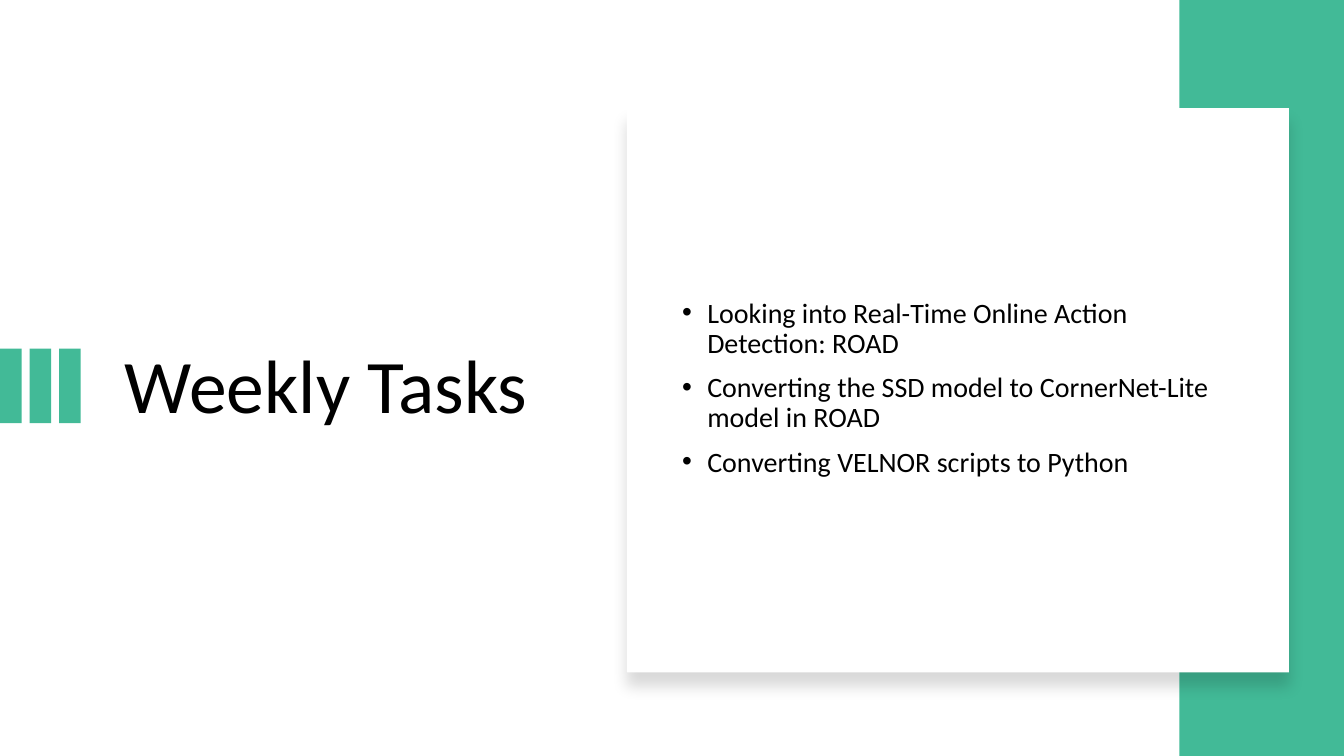
from lxml import etree
from pptx import Presentation
from pptx.dml.color import RGBColor as RGB
from pptx.enum.shapes import MSO_SHAPE as SHAPE
from pptx.enum.text import MSO_ANCHOR as ANCHOR, MSO_AUTO_SIZE as AUTO, PP_ALIGN as ALIGN
from pptx.oxml import parse_xml
from pptx.util import Pt

INK = {"green": "42BA97", "white": "FFFFFF", "black": "000000"}
TASKS = [
    "Looking into Real-Time Online Action Detection: ROAD",
    "Converting the SSD model to CornerNet-Lite model in ROAD",
    "Converting VELNOR scripts to Python",
]
NS = "http://schemas.openxmlformats.org/drawingml/2006/main"


def block(x, y, w, h, ink):
    shape = slide.shapes.add_shape(SHAPE.RECTANGLE, Pt(x), Pt(y), Pt(w), Pt(h))
    shape.shadow.inherit = False
    shape.fill.solid()
    shape.fill.fore_color.rgb = RGB.from_string(INK[ink])
    shape.line.fill.background()
    return shape


def fill_text(holder, box, lines, size, gap):
    holder.left, holder.top, holder.width, holder.height = map(Pt, box)
    frame = holder.text_frame
    frame.text = "\n".join(lines)
    frame.word_wrap = True
    frame.auto_size = AUTO.NONE
    frame.vertical_anchor = ANCHOR.MIDDLE
    for para in frame.paragraphs:
        para.alignment = ALIGN.LEFT
        para.line_spacing = 0.9
        para.space_before = Pt(gap)
        para.font.name = "Calibri"
        para.font.size = Pt(size)
        para.font.color.rgb = RGB.from_string(INK["black"])


deck = Presentation()
deck.slide_width, deck.slide_height = Pt(960), Pt(540)
slide = deck.slides.add_slide(deck.slide_layouts[1])
title, body = slide.placeholders

# Title with three bars at its left
fill_text(title, (82, 105, 307, 345), ["Weekly Tasks"], 54, 0)
for i in range(3):
    block(i * 21.1, 249, 15.4, 53.3, "green")

# Green band and the white card over it
block(842.4, 0, 117.6, 540, "green")
card = block(447.8, 77.2, 473, 403.2, "white")
glow = card.element.spPr.find(f"{{{NS}}}effectLst")
glow.append(parse_xml(
    f'<a:outerShdw xmlns:a="{NS}" blurRad="{Pt(11)}" dist="{Pt(10)}" '
    'dir="5400000" algn="t" rotWithShape="0">'
    f'<a:srgbClr val="{INK["black"]}"><a:alpha val="15000"/></a:srgbClr>'
    '</a:outerShdw>'))

# Task list, in front of the card
body.element.getparent().append(body.element)
fill_text(body, (480, 105, 414, 345), TASKS, 20, 10)
for para in body.text_frame.paragraphs:
    props = para._p.get_or_add_pPr()
    props.set("marL", str(Pt(18)))
    props.set("indent", str(-Pt(18)))
    dot = etree.SubElement(props, f"{{{NS}}}buChar")
    dot.set("char", "•")

deck.save("out.pptx")
